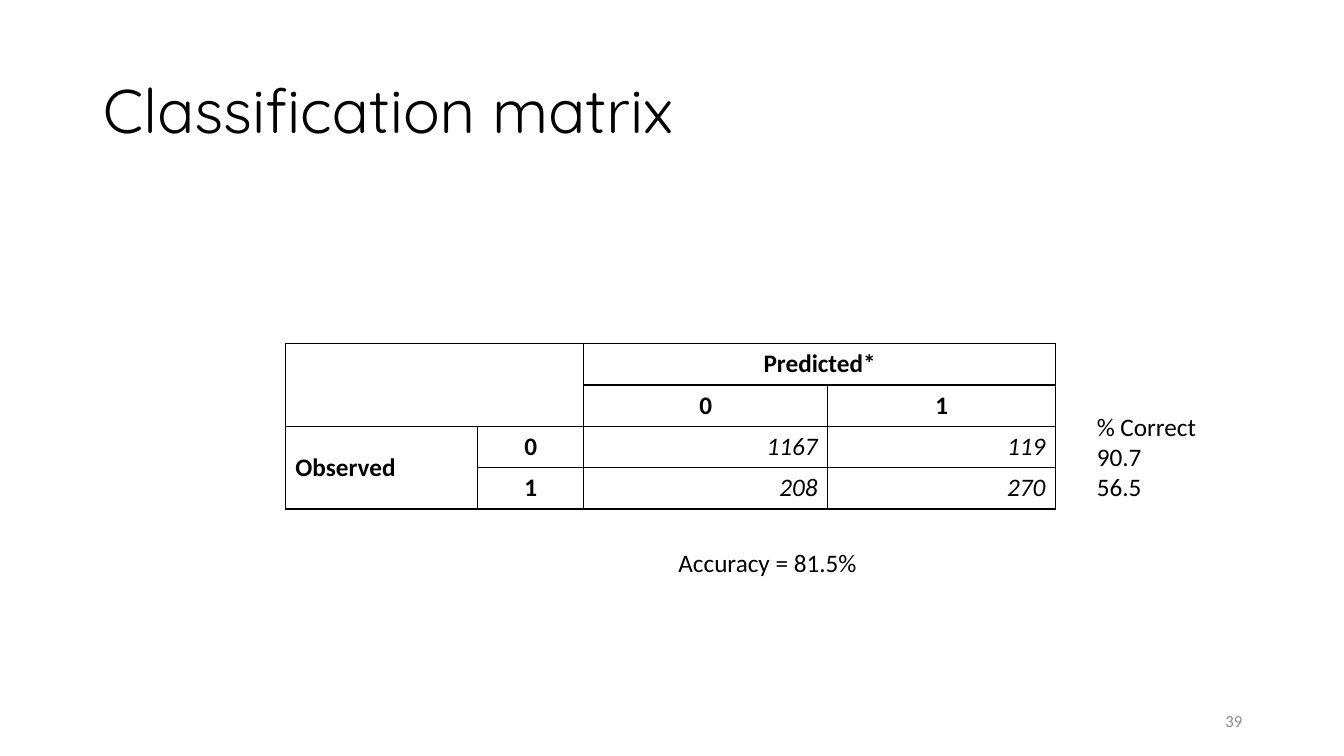
from lxml import etree
from pptx import Presentation
from pptx import util as u
from pptx.dml.color import RGBColor
from pptx.enum import text
from pptx.oxml import ns

COLORS = {"ink": "000000", "muted": "8C8C8C"}
ALIGN = text.PP_ALIGN


class MatrixSlide:
    body_font = "Calibri"
    title_font = "Quicksand"

    def __init__(self, deck):
        self.slide = deck.slides.add_slide(deck.slide_layouts[5])

    def add_words(self, paragraph, words, size=18, font=None, color="ink",
                  bold=False, italic=False, align=ALIGN.LEFT):
        paragraph.alignment = align
        run = paragraph.add_run()
        run.text = words
        run.font.size = u.Pt(size)
        run.font.name = font or self.body_font
        run.font.bold = bold
        run.font.italic = italic
        run.font.color.rgb = RGBColor.from_string(COLORS[color])

    def place(self, shape, box):
        shape.left, shape.top, shape.width, shape.height = map(u.Inches, box)

    def title(self, words, box):
        heading = self.slide.shapes.title
        self.place(heading, box)
        frame = heading.text_frame
        frame.word_wrap = True
        frame.auto_size = text.MSO_AUTO_SIZE.NONE
        frame.vertical_anchor = text.MSO_ANCHOR.MIDDLE
        frame.paragraphs[0].line_spacing = 0.9
        self.add_words(frame.paragraphs[0], words, 44, self.title_font)

    def label(self, lines, box, wrap=True, anchor=text.MSO_ANCHOR.TOP, **style):
        frame = self.slide.shapes.add_textbox(*map(u.Inches, box)).text_frame
        frame.word_wrap = wrap
        frame.vertical_anchor = anchor
        for index, line in enumerate(lines):
            paragraph = frame.add_paragraph() if index else frame.paragraphs[0]
            self.add_words(paragraph, line, **style)

    def border(self, cell, hidden):
        properties = cell._tc.get_or_add_tcPr()
        for side in "LRTB":
            line = etree.SubElement(properties, ns.qn(f"a:ln{side}"), w=str(u.Pt(1)))
            if side in hidden:
                etree.SubElement(line, ns.qn("a:noFill"))
            else:
                fill = etree.SubElement(line, ns.qn("a:solidFill"))
                etree.SubElement(fill, ns.qn("a:srgbClr"), val=COLORS["ink"])

    def matrix(self, rows, left, top, widths, height):
        box = (left, top, sum(widths), height * len(rows))
        table = self.slide.shapes.add_table(
            len(rows), len(widths), *map(u.Inches, box)).table
        table.first_row = table.horz_banding = False
        for column, width in zip(table.columns, widths):
            column.width = u.Inches(width)
        for r, row in enumerate(rows):
            table.rows[r].height = u.Inches(height)
            for c, words in enumerate(row):
                cell = table.cell(r, c)
                corner = r < 2 and c < 2
                hidden = ("BT"[r] + "RL"[c]) if corner else ""
                self.border(cell, hidden)
                cell.fill.background()
                if words:
                    count = r > 1 and c > 1
                    align = ALIGN.RIGHT if count else ALIGN.CENTER if c else ALIGN.LEFT
                    self.add_words(cell.text_frame.paragraphs[0], words,
                                   bold=not count, italic=count, align=align)
        table.cell(0, 2).merge(table.cell(0, 3))
        observed = table.cell(2, 0)
        observed.merge(table.cell(3, 0))
        observed.vertical_anchor = text.MSO_ANCHOR.MIDDLE


def main():
    deck = Presentation()
    deck.slide_width, deck.slide_height = u.Inches(13.33), u.Inches(7.5)
    page = MatrixSlide(deck)
    page.title("Classification matrix", (0.92, 0.4, 11.5, 1.45))
    page.label(["39"], (9.42, 6.95, 3, 0.4), anchor=text.MSO_ANCHOR.MIDDLE,
               size=12, color="muted", align=ALIGN.RIGHT)
    page.label(["% Correct", "90.7", "56.5"], (10.78, 4.03, 2.15, 1.01))
    page.label(["Accuracy = 81.5%"], (6.63, 5.38, 2.05, 0.4), wrap=False)
    confusion = [
        ["", "", "Predicted*", ""],
        ["", "", "0", "1"],
        ["Observed", "0", "1167", "119"],
        ["", "1", "208", "270"],
    ]
    page.matrix(confusion, 2.83, 3.41, [1.91, 1.05, 2.42, 2.26], 0.41)
    deck.save("out.pptx")


if __name__ == "__main__":
    main()
